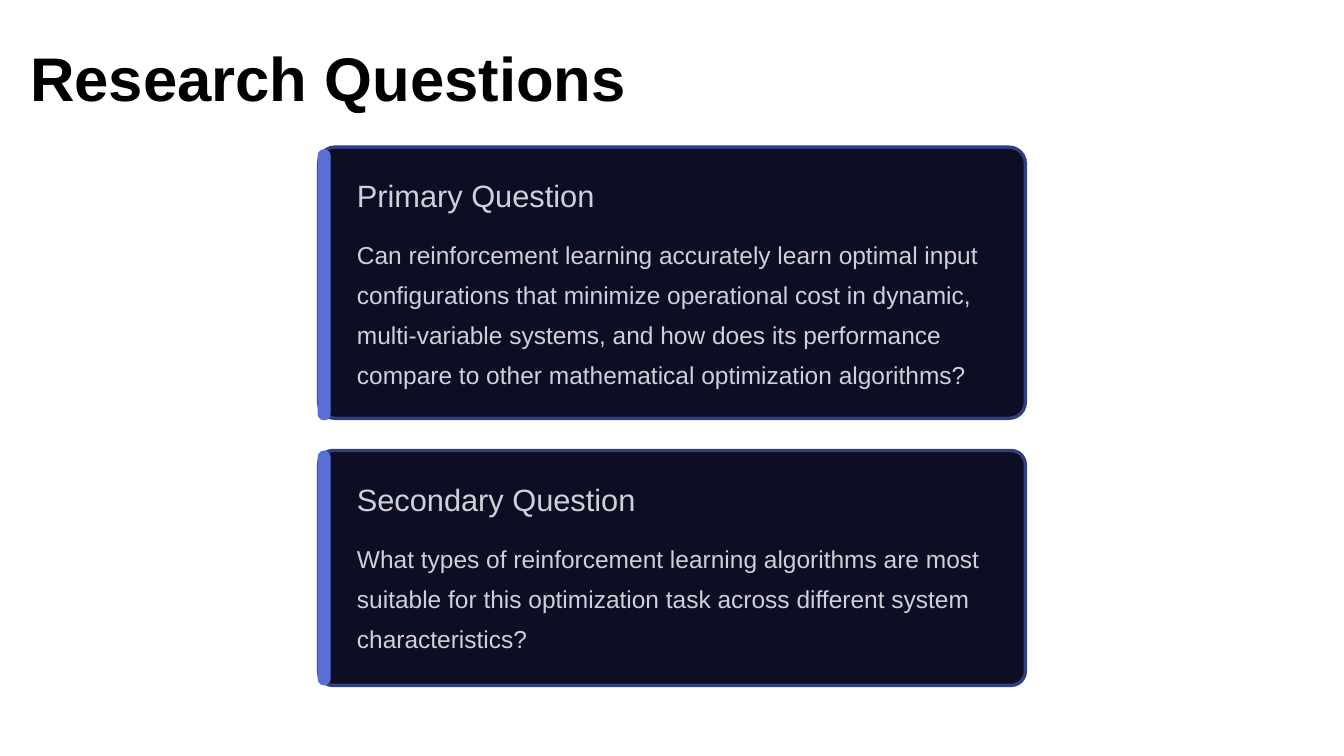
from lxml import etree
from pptx import Presentation
from pptx.dml.color import RGBColor
from pptx.enum.shapes import MSO_SHAPE
from pptx.enum.text import MSO_ANCHOR
from pptx.oxml.ns import qn
from pptx.util import Pt

ROUNDED = MSO_SHAPE.ROUNDED_RECTANGLE
TOP = MSO_ANCHOR.TOP

TITLE = "Research Questions"
# heading, question, card top, card height, accent bar top, question height
QUESTIONS = [
    ("Primary Question",
     "Can reinforcement learning accurately learn optimal input configurations "
     "that minimize operational cost in dynamic, multi-variable systems, and how "
     "does its performance compare to other mathematical optimization algorithms?",
     146, 269, 148, 159),
    ("Secondary Question",
     "What types of reinforcement learning algorithms are most suitable for this "
     "optimization task across different system characteristics?",
     447, 233, 447, 119),
]

BLACK = RGBColor(0x00, 0x00, 0x00)
NAVY = RGBColor(0x00, 0x00, 0x18)
BORDER = RGBColor(0x31, 0x3E, 0x80)
ACCENT = RGBColor(0x5A, 0x6E, 0xD8)
PALE = RGBColor(0xCF, 0xD0, 0xD8)

PX = 9144  # 100 px to the inch
CARD_LEFT, CARD_WIDTH = 316, 701
BAR_LEFT, BAR_WIDTH = 315, 13
TEXT_LEFT, HEADING_WIDTH, QUESTION_WIDTH = 354, 310, 635
HEADING_OFFSET, QUESTION_OFFSET, HEADING_HEIGHT = 28, 82, 39


def px(*lengths):
    return [length * PX for length in lengths]


def add_text(slide, text, box, *, size, leading, color, bold=False, wrap=False):
    frame = slide.shapes.add_textbox(*px(*box)).text_frame
    frame.margin_left = frame.margin_right = 0
    frame.margin_top = frame.margin_bottom = 0
    frame.word_wrap = wrap
    frame.vertical_anchor = TOP
    paragraph = frame.paragraphs[0]
    paragraph.line_spacing = Pt(leading)
    run = paragraph.add_run()
    run.text = text
    run.font.name = "Arial"
    run.font.size = Pt(size)
    run.font.bold = bold
    run.font.color.rgb = color


def add_rounded(slide, box, *, fill, radius, border=None, opacity=100):
    """Add a rounded rectangle; opacity is a percentage."""
    shape = slide.shapes.add_shape(ROUNDED, *px(*box))
    shape.shadow.inherit = False
    shape.adjustments[0] = radius
    shape.fill.solid()
    shape.fill.fore_color.rgb = fill
    if opacity < 100:
        color = shape.fill._xPr.find(qn("a:solidFill"))[0]
        etree.SubElement(color, qn("a:alpha")).set("val", str(opacity * 1000))
    if border is None:
        shape.line.fill.background()
    else:
        shape.line.color.rgb = border
        shape.line.width = Pt(2.4)


def main():
    presentation = Presentation()
    presentation.slide_width, presentation.slide_height = px(1333, 750)
    slide = presentation.slides.add_slide(presentation.slide_layouts[6])

    add_text(slide, TITLE, (30, 36, 620, 78),
             size=44, leading=55.5, color=BLACK, bold=True)
    for heading, question, top, height, bar_top, question_height in QUESTIONS:
        add_rounded(slide, (CARD_LEFT, top, CARD_WIDTH, height),
                    fill=NAVY, radius=0.06, border=BORDER, opacity=95)
        add_rounded(slide, (BAR_LEFT, bar_top, BAR_WIDTH, height),
                    fill=ACCENT, radius=0.5)
        add_text(slide, heading,
                 (TEXT_LEFT, top + HEADING_OFFSET, HEADING_WIDTH, HEADING_HEIGHT),
                 size=22, leading=27.5, color=PALE)
        add_text(slide, question,
                 (TEXT_LEFT, top + QUESTION_OFFSET, QUESTION_WIDTH, question_height),
                 size=17.5, leading=28.5, color=PALE, wrap=True)

    presentation.save("out.pptx")


if __name__ == "__main__":
    main()
